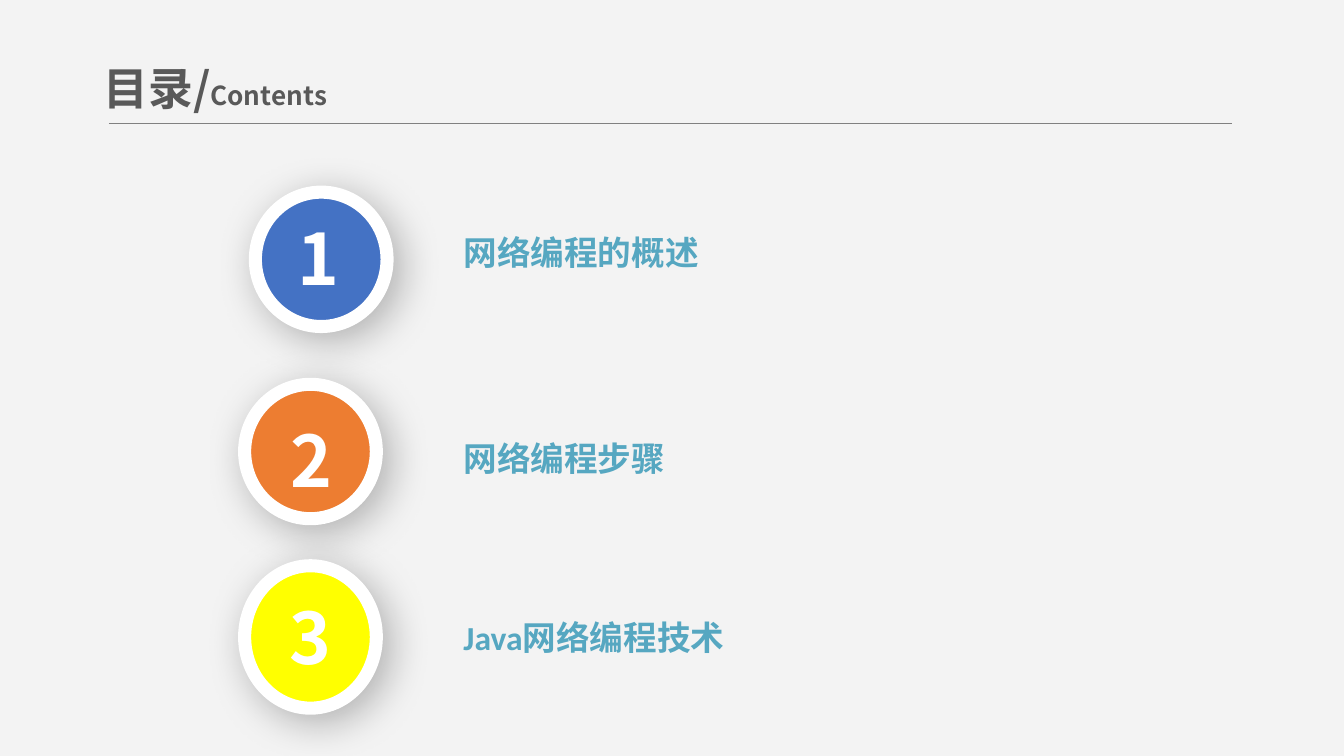
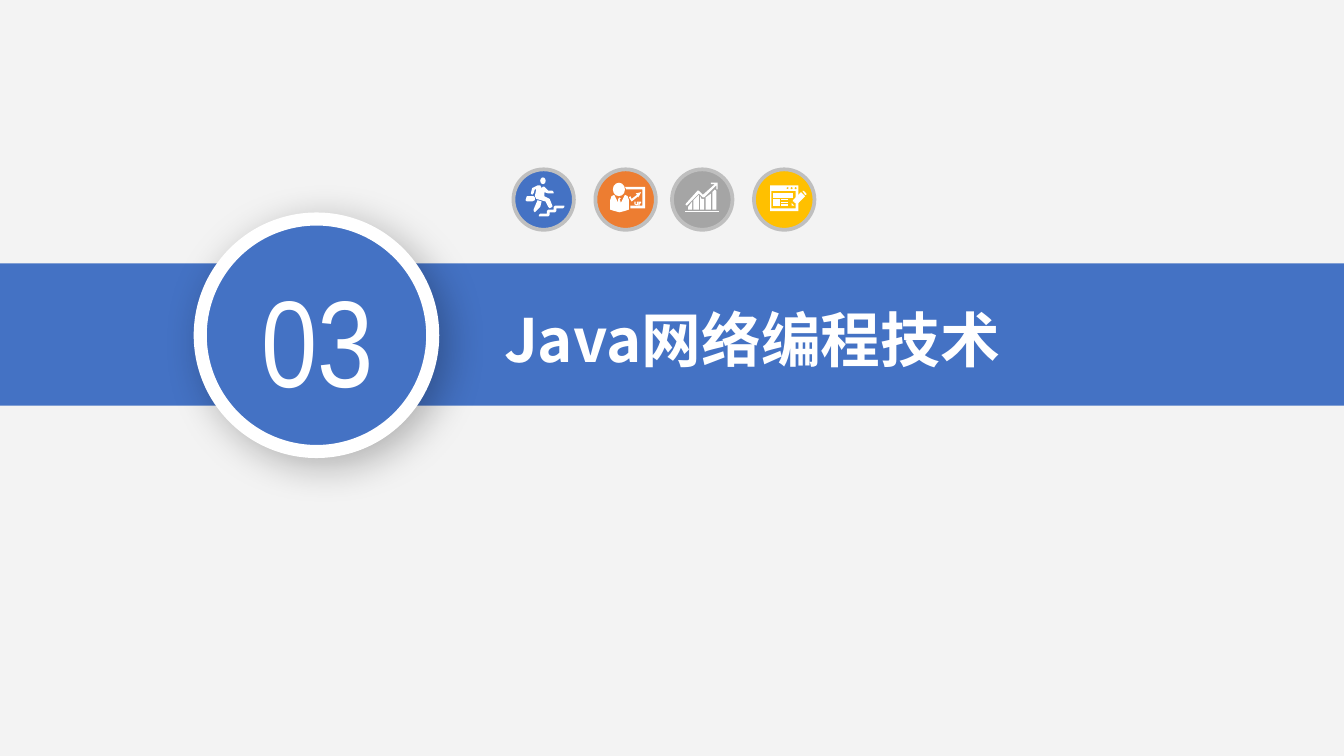
from lxml.etree import SubElement
from pptx import Presentation
from pptx.dml.color import RGBColor
from pptx.enum.shapes import MSO_CONNECTOR, MSO_SHAPE
from pptx.enum.text import MSO_ANCHOR, MSO_AUTO_SIZE, PP_ALIGN
from pptx.oxml.ns import qn
from pptx.util import Emu, Pt

PX = 9144
SANS = "Noto Sans CJK SC"
HUES = {
    "back": "F3F3F3", "white": "FFFFFF", "blue": "4472C4", "orange": "ED7D31",
    "gray": "A5A5A5", "gold": "FFC000", "yellow": "FFFF00", "teal": "56A7C1",
    "ink": "595959", "rule": "808080", "ring": "BFBFBF",
}
FRAME = {"word_wrap": True, "auto_size": MSO_AUTO_SIZE.NONE, "vertical_anchor": MSO_ANCHOR.TOP}
TIGHT = {"margin_left": 7 * PX, "margin_right": 7 * PX,
         "margin_top": 4 * PX, "margin_bottom": 4 * PX}
HEAD = {"size": Pt(24), "bold": True, "hue": "ink"}
ITEM = {"size": Pt(18), "bold": True, "hue": "teal"}
DIGIT = {"size": Pt(38), "bold": True, "hue": "white"}
COVER = {"size": Pt(32), "bold": True, "hue": "white"}
COUNT = {"size": Pt(66), "name": "Arial Narrow", "hue": "white"}

BADGES = [
    ("2", "orange", (182, 286, 98, 100), (195, 306)),
    ("1", "blue", (190, 143, 98, 100), (200, 156)),
    ("3", "yellow", (182, 421, 98, 106), (194, 438)),
]
ITEMS = [
    (168, [("网络编程的概述", {})]),
    (321, [("网络编程步骤", {})]),
    (454, [("Java", {"name": "Calibri"}), ("网络编程技术", {})]),
]


def square(x, y, w, h):
    """Return the corners of a rectangle."""
    return [(x, y), (x + w, y), (x + w, y + h), (x, y + h)]


def dot(x, y):
    """Return a small diamond around a point."""
    return [(x, y - 1), (x + 1, y), (x, y + 1), (x - 1, y)]


RUNNER = [
    [[(401, 160), (402, 159), (407, 159), (407, 157), (408, 156), (412, 156), (412, 154),
      (413, 153), (420, 153), (420, 154), (419, 155), (414, 155), (414, 157), (413, 158),
      (409, 158), (409, 160), (408, 161), (401, 161)]],
    [[(392, 150), (396, 150), (398, 149), (398, 147), (397, 146), (392, 146), (391, 149)],
     [(397, 156), (400, 149), (403, 150), (402, 154), (399, 157), (398, 158), (397, 157)],
     [(404, 139), (405, 139), (408, 142), (411, 142), (412, 143), (412, 144), (408, 144),
      (405, 143), (405, 146), (409, 148), (411, 153), (411, 154), (409, 155), (408, 154),
      (406, 150), (399, 148), (398, 146), (399, 141), (398, 141), (397, 144), (396, 145),
      (395, 144), (396, 140), (400, 138), (402, 138), (403, 140)]],
]
SPEAKER = [
    [[(465, 139), (466, 141), (478, 141), (478, 153), (469, 153), (469, 155), (480, 155),
      (480, 139)]],
    [[(469, 146), (468, 147), (470, 150), (475, 146), (475, 147), (477, 143), (473, 144),
      (474, 145), (470, 148)]],
    [[(465, 145), (462, 151), (461, 148), (462, 148), (461, 147), (460, 148), (460, 151),
      (457, 145), (455, 146), (454, 149), (454, 156), (457, 157), (461, 158), (465, 157),
      (468, 156), (468, 149), (467, 146)]],
    [[(472, 150), (472, 152), (474, 153), (475, 152), (475, 150), (474, 150), (474, 152),
      (473, 152), (473, 150)]],
    [[(475, 150), (475, 153), (476, 153), (476, 152), (477, 151), (477, 150)]],
]
GROWTH = [
    [square(510, 157, 25, 1)],
    [[(512, 156), (515, 156), (515, 150), (512, 154)]],
    [[(516, 156), (520, 156), (520, 145), (516, 149)]],
    [[(521, 156), (524, 156), (524, 148), (522, 148), (521, 146)]],
    [[(525, 156), (529, 156), (529, 144), (525, 147)]],
    [[(530, 156), (533, 156), (533, 142), (532, 141), (530, 143)]],
    [[(511, 153), (520, 144), (523, 147), (524, 147), (533, 138), (533, 141), (534, 141),
      (534, 136), (529, 136), (529, 137), (532, 137), (523, 145), (520, 142), (519, 142),
      (510, 152)]],
]
EDITOR = [
    [square(573, 138, 21, 19), square(574, 142, 18, 13),
     dot(586, 140), dot(589, 140), dot(592, 140)],
    [square(575, 144, 15, 3)],
    [square(575, 148, 5, 5)],
    *[[square(581, y, 5, 1)] for y in (148, 150, 152)],
    [[(589, 151), (589, 153), (591, 153)]],
    [[(599, 145), (600, 145), (600, 144), (598, 142), (597, 142)]],
    [[(596, 143), (590, 149), (590, 150), (591, 150), (591, 151), (592, 151), (593, 152),
      (599, 146)]],
]
ICONS = [
    (382, "blue", RUNNER, (402, 132, 4, 5)),
    (443, "orange", SPEAKER, (456, 136, 9, 10)),
    (561, "gold", EDITOR, None),
    (500, "gray", GROWTH, None),
]


class Deck:
    """Holds the shared style and the current slide."""

    def __init__(self):
        """Open an empty deck of the right size."""
        self.show = Presentation()
        self.show.slide_width, self.show.slide_height = Emu(1000 * PX), Emu(5143500)

    def add(self):
        """Start a title-only slide on the shared background."""
        self.slide = self.show.slides.add_slide(self.show.slide_layouts[5])
        self.shapes = self.slide.shapes
        self.tint(self.slide.background.fill, "back")

    def tint(self, fill, hue):
        """Fill with one named colour."""
        fill.solid()
        fill.fore_color.rgb = RGBColor.from_string(HUES[hue])

    def label(self, frame, runs, style, align=PP_ALIGN.LEFT, **extra):
        """Set runs of text in a frame."""
        for key, value in {**FRAME, **extra}.items():
            setattr(frame, key, value)
        para = frame.paragraphs[0]
        para.alignment = align
        for words, change in runs:
            look = {"name": SANS, **style, **change}
            hue = look.pop("hue")
            run = para.add_run()
            run.text = words
            for key, value in look.items():
                setattr(run.font, key, value)
            run.font.color.rgb = RGBColor.from_string(HUES[hue])
            SubElement(run.font._element, qn("a:ea"), typeface=look["name"])

    def title(self, box, runs, style, **extra):
        """Place the title on top of what is drawn so far."""
        head = self.shapes.title
        head.left, head.top, head.width, head.height = [Emu(n * PX) for n in box]
        self.label(head.text_frame, runs, style, **extra)
        self.shapes.element.append(head.element)

    def text(self, box, runs, style, **extra):
        """Add a text box."""
        area = self.shapes.add_textbox(*[n * PX for n in box])
        self.label(area.text_frame, runs, style, **extra)

    def paint(self, shape, hue, ring=None, width=0):
        """Give a shape its fill and outline, without a shadow."""
        shape.shadow.inherit = False
        self.tint(shape.fill, hue)
        if ring:
            self.tint(shape.line.fill, ring)
            shape.line.width = Pt(width)
        else:
            shape.line.fill.background()
        return shape

    def shape(self, kind, box, hue, ring=None, width=0):
        """Add a preset shape."""
        return self.paint(self.shapes.add_shape(kind, *[n * PX for n in box]), hue, ring, width)

    def free(self, loops, hue):
        """Add an outline made of closed loops."""
        pen = self.shapes.build_freeform(*loops[0][0], scale=PX)
        pen.add_line_segments(loops[0][1:])
        for loop in loops[1:]:
            pen.move_to(*loop[0])
            pen.add_line_segments(loop[1:])
        self.paint(pen.convert_to_shape(), hue)

    def rule(self, left, right, top):
        """Add a thin level line."""
        line = self.shapes.add_connector(
            MSO_CONNECTOR.STRAIGHT, left * PX, top * PX, right * PX, top * PX)
        self.tint(line.line.fill, "rule")
        line.line.width = Pt(0.5)
        SubElement(line._element.spPr, qn("a:effectLst"))

    def badge(self, box, hue, area, words, style):
        """Add a ringed disc with a soft shadow and a number."""
        disc = self.shape(MSO_SHAPE.OVAL, box, hue, "white", 7)
        glow = SubElement(disc._element.spPr.find(qn("a:effectLst")), qn("a:outerShdw"),
                          blurRad=str(Pt(22)), dist=str(Pt(6)), dir="2700000",
                          algn="tl", rotWithShape="0")
        tone = SubElement(glow, qn("a:srgbClr"), val="000000")
        SubElement(tone, qn("a:alpha"), val="28000")
        self.text(area, [(words, {})], style, align=PP_ALIGN.CENTER, **TIGHT)

    def icon(self, left, hue, parts, head):
        """Add a small ringed disc with a white sign."""
        self.shape(MSO_SHAPE.OVAL, (left, 126, 45, 45), hue, "ring", 2)
        for part in parts:
            self.free(part, "white")
        if head:
            self.shape(MSO_SHAPE.OVAL, head, "white")


def main():
    """Build both slides and save them."""
    deck = Deck()

    deck.add()
    deck.title((67, 38, 247, 54), [("目录/", {}), ("Contents", {"size": Pt(14)})],
               HEAD, vertical_anchor=MSO_ANCHOR.MIDDLE)
    deck.rule(81, 917, 92)
    for words, hue, box, spot in BADGES:
        deck.badge(box, hue, (*spot, 74, 72), words, DIGIT)
    for top, runs in ITEMS:
        deck.text((335, top, 500, 40), runs, ITEM)

    deck.add()
    deck.shape(MSO_SHAPE.RECTANGLE, (0, 196, 1000, 106), "blue")
    deck.title((365, 220, 434, 64), [("Java网络编程技术", {})], COVER)
    for icon in ICONS:
        deck.icon(*icon)
    deck.badge((149, 163, 173, 173), "blue", (171, 193, 131, 119), "03", COUNT)

    deck.show.save("out.pptx")


if __name__ == "__main__":
    main()
